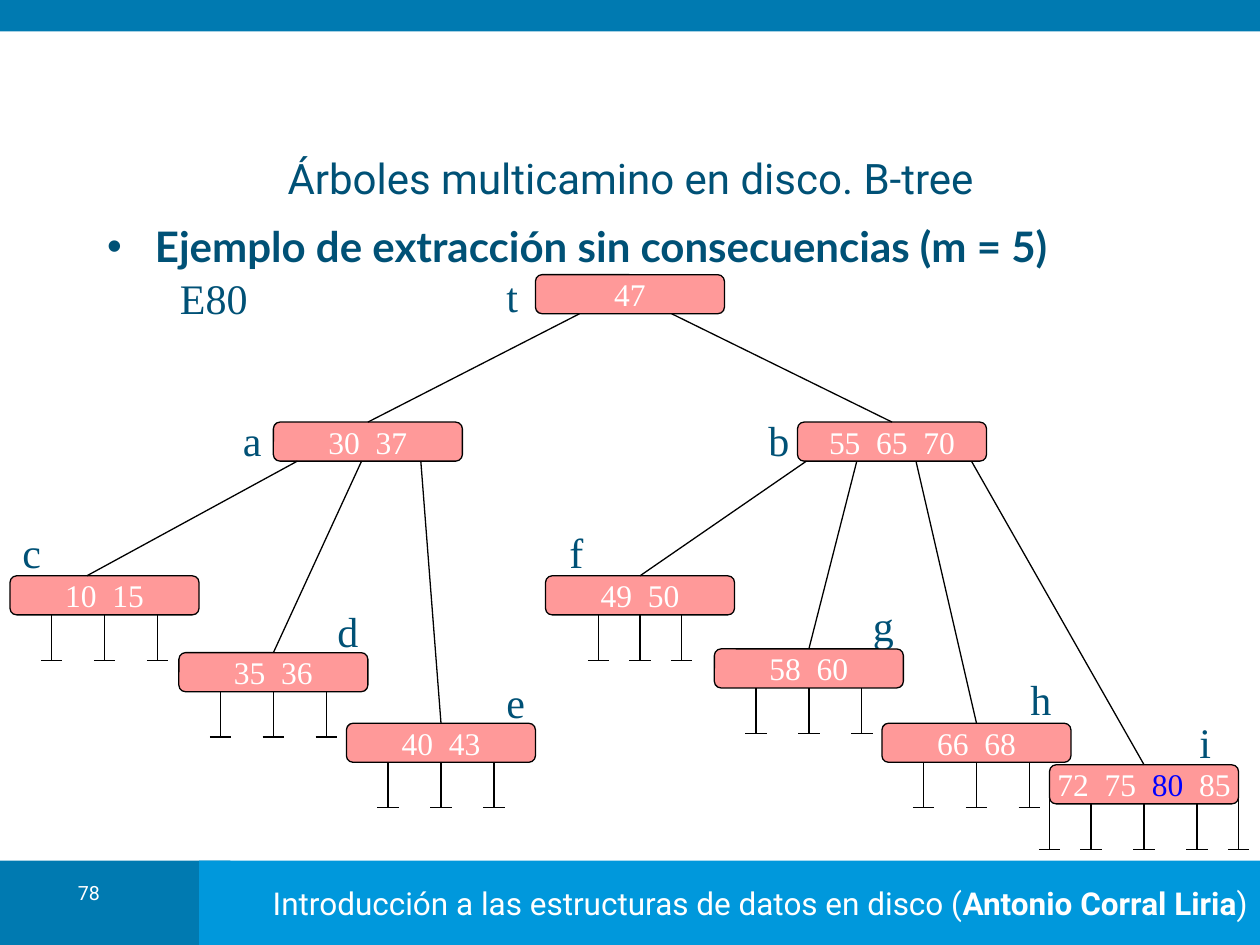
from lxml import etree
from pptx import Presentation
from pptx import util as u
from pptx.dml.color import RGBColor
from pptx.enum import shapes, text
from pptx.oxml import ns

Inches, Pt = u.Inches, u.Pt
DARK_BLUE = RGBColor(0x00, 0x7A, 0xB1)
LIGHT_BLUE = RGBColor(0x00, 0x98, 0xDC)
INK = RGBColor(0x00, 0x51, 0x76)
PINK = RGBColor(0xFF, 0x99, 0x99)
KEY_BLUE = RGBColor(0x00, 0x00, 0xFF)
WHITE = RGBColor(0xFF, 0xFF, 0xFF)
BLACK = RGBColor(0x00, 0x00, 0x00)
SERIF, SANS, BODY = "Times New Roman", "Roboto", "Lato"

# Content
TITLE = "Árboles multicamino en disco. B-tree"
BULLET = "Ejemplo de extracción sin consecuencias (m = 5)"
OPERATION = "E80"
PAGE_NUMBER = "78"
FOOTER = [("Introducción a las estructuras de datos en disco (", False),
          ("Antonio Corral Liria", True), (")", False)]
REMOVED_KEY = "80"
THREE_LINKS = (0.33, 0.75, 1.17)
# name: (left, top, keys, label position, offsets of the null links)
NODES = {
    "t": (4.25, 2.18, ["47"], (3.92, 2.10), ()),
    "a": (2.17, 3.35, ["30", "37"], (1.83, 3.24), ()),
    "b": (6.33, 3.35, ["55", "65", "70"], (6.00, 3.24), ()),
    "c": (0.08, 4.57, ["10", "15"], (0.08, 4.13), THREE_LINKS),
    "d": (1.42, 5.18, ["35", "36"], (2.58, 4.76), THREE_LINKS),
    "e": (2.75, 5.74, ["40", "43"], (3.92, 5.32), THREE_LINKS),
    "f": (4.33, 4.57, ["49", "50"], (4.42, 4.13), (0.42, 0.75, 1.08)),
    "g": (5.67, 5.15, ["58", "60"], (6.83, 4.71), THREE_LINKS),
    "h": (7.00, 5.74, ["66", "68"], (8.08, 5.30), THREE_LINKS),
    "i": (8.33, 6.07, ["72", "75", "80", "85"], (9.42, 5.64),
          (0, 0.33, 0.75, 1.17, 1.5)),
}
# parent, child, x where the edge leaves the parent
EDGES = [("t", "a", 4.60), ("t", "b", 5.33),
         ("a", "c", 2.36), ("a", "d", 2.87), ("a", "e", 3.34),
         ("b", "f", 6.40), ("b", "g", 6.80), ("b", "h", 7.27), ("b", "i", 7.71)]
OFF_CENTRE_ENDS = {"c": 0.69}
NODE_W, NODE_H = 1.5, 0.31
LINK_START, LINK_END, FOOT_W = 0.26, 0.67, 0.17

deck = Presentation()
deck.slide_width, deck.slide_height = Inches(10), Inches(7.5)
page = deck.slides.add_slide(deck.slide_layouts[1])


def place(box, left, top, width, height):
    box.left, box.top = Inches(left), Inches(top)
    box.width, box.height = Inches(width), Inches(height)


def add_span(para, words, size, font, color, bold=False):
    span = para.add_run()
    span.text = words
    span.font.size, span.font.name, span.font.bold = Pt(size), font, bold
    span.font.color.rgb = color


def add_box(kind, left, top, width, height, fill):
    box = page.shapes.add_shape(kind, Inches(left), Inches(top),
                                Inches(width), Inches(height))
    box.shadow.inherit = False
    box.fill.solid()
    box.fill.fore_color.rgb = fill
    box.line.fill.background()
    return box


def add_text(left, top, width, height, words, size, font, color):
    box = page.shapes.add_textbox(Inches(left), Inches(top),
                                  Inches(width), Inches(height))
    box.text_frame.word_wrap = True
    para = box.text_frame.paragraphs[0]
    add_span(para, words, size, font, color)
    return para


def add_line(x1, y1, x2, y2):
    line = page.shapes.add_connector(shapes.MSO_CONNECTOR.STRAIGHT, Inches(x1),
                                     Inches(y1), Inches(x2), Inches(y2))
    line.line.color.rgb = BLACK
    line.line.width = Pt(0.75)
    etree.SubElement(line._element.spPr, ns.qn("a:effectLst"))
    return line


def add_node(name, left, top, keys, label_at, links):
    for offset in links:
        x, foot = left + offset, top + LINK_END
        add_line(x, top + LINK_START, x, foot)
        add_line(x - FOOT_W / 2, foot, x + FOOT_W / 2, foot)
    add_text(*label_at, 0.33, 0.5, name, 24, SERIF, INK)
    box = add_box(shapes.MSO_SHAPE.ROUNDED_RECTANGLE, left, top, NODE_W, NODE_H, PINK)
    box.adjustments[0] = 0.17
    box.line.color.rgb = BLACK
    box.line.width = Pt(0.75)
    box.text_frame.word_wrap = False
    box.text_frame.vertical_anchor = text.MSO_ANCHOR.MIDDLE
    para = box.text_frame.paragraphs[0]
    para.alignment = text.PP_ALIGN.CENTER
    for index, key in enumerate(keys):
        if index:
            add_span(para, "  ", 18, SERIF, WHITE)
        add_span(para, key, 18, SERIF, KEY_BLUE if key == REMOVED_KEY else WHITE)
    return box


# Bars, footer and page number
RECT = shapes.MSO_SHAPE.RECTANGLE
add_box(RECT, 0, 6.83, 1.83, 0.67, DARK_BLUE)
footer = add_box(RECT, 1.58, 6.83, 8.42, 0.67, LIGHT_BLUE)
footer.text_frame.vertical_anchor = text.MSO_ANCHOR.MIDDLE
footer_para = footer.text_frame.paragraphs[0]
footer_para.alignment = text.PP_ALIGN.RIGHT
for words, bold in FOOTER:
    add_span(footer_para, words, 18, SANS, WHITE, bold)
add_box(RECT, 0, 0, 10, 0.25, DARK_BLUE)
# the dark corner covers the left end of the footer bar
corner = add_box(RECT, 1.58, 6.83, 0, 0.67, DARK_BLUE)
corner._element.getparent().remove(corner._element)
number = add_text(0.35, 6.98, 0.71, 0.32, PAGE_NUMBER, 11.2, SANS, WHITE)
number.alignment = text.PP_ALIGN.CENTER
number.line_spacing = 0.8

# Title and bullet
title, body = page.shapes.title, page.placeholders[1]
place(title, 0.83, 1.2, 8.35, 0.42)
place(body, 0.75, 1.7, 9.05, 5.12)
for holder in (title, body):
    holder.text_frame.auto_size = text.MSO_AUTO_SIZE.NONE
title.text_frame.vertical_anchor = text.MSO_ANCHOR.MIDDLE
title_para = title.text_frame.paragraphs[0]
title_para.alignment = text.PP_ALIGN.CENTER
add_span(title_para, TITLE, 24, SANS, INK)

bullet_para = body.text_frame.paragraphs[0]
bullet_para.space_before = Pt(0)
props = bullet_para._p.get_or_add_pPr()
props.set("marL", str(Inches(0.38)))
props.set("indent", str(-Inches(0.38)))
bullet_color = etree.SubElement(props, ns.qn("a:buClr"))
etree.SubElement(bullet_color, ns.qn("a:srgbClr"), val=str(INK))
etree.SubElement(props, ns.qn("a:buChar"), char="•")
add_span(bullet_para, BULLET, 24, BODY, INK, True)
add_text(1.33, 2.11, 0.83, 0.5, OPERATION, 24, SERIF, INK)

# Tree
boxes = {name: add_node(name, *parts) for name, parts in NODES.items()}
for parent, child, start_x in EDGES:
    left, top = NODES[child][:2]
    end_x = OFF_CENTRE_ENDS.get(child, left + NODE_W / 2)
    edge = add_line(start_x, NODES[parent][1] + NODE_H, end_x, top)
    if child not in OFF_CENTRE_ENDS:
        edge.end_connect(boxes[child], 0)

deck.save("out.pptx")
